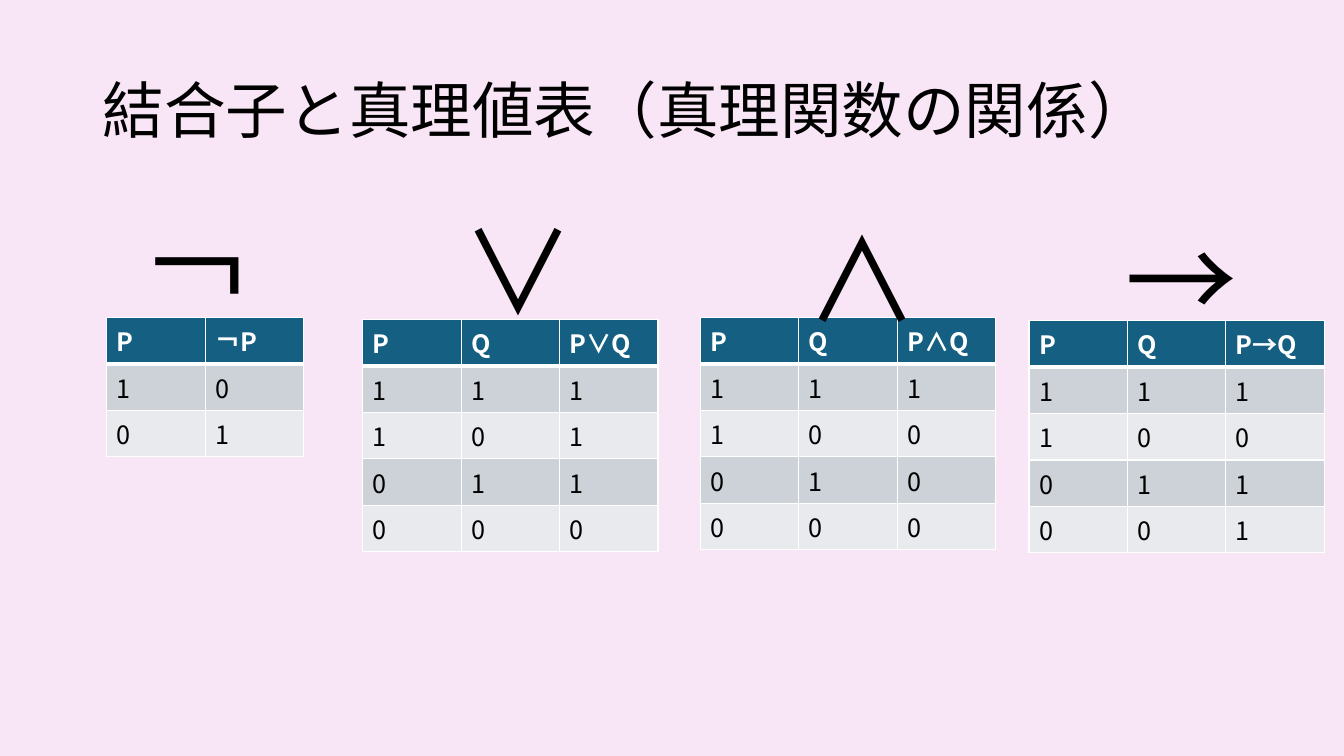
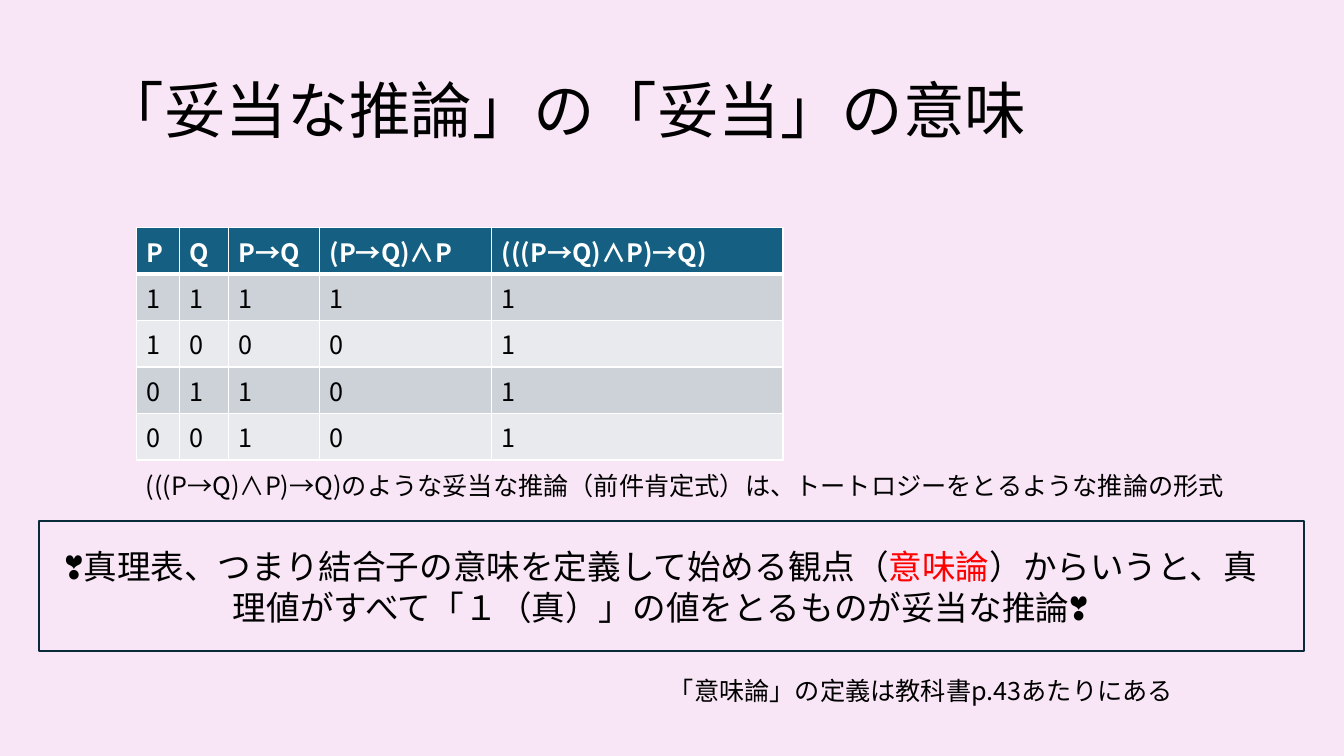
from lxml.etree import SubElement
from pptx import Presentation
from pptx.dml.color import RGBColor
from pptx.enum.shapes import MSO_SHAPE
from pptx.enum.text import MSO_ANCHOR, PP_ALIGN
from pptx.oxml.ns import qn
from pptx.util import Cm, Pt

# Shared style
FACE = "Noto Sans CJK JP"
BACK, INK, WHITE, RED = "F8E6F6", "000000", "FFFFFF", "FF0000"
HEAD, BANDS, FRAME = "156082", ("CCD2D8", "E8EAED"), "092A39"
ROW = 1.17
TITLE = (2.34, 1.02, 29.21, 3.68)

# Content of slide 1: left, top, header, rows
TITLE_1 = "結合子と真理値表（真理関数の関係）"
COL = 2.48
TABLES = [
    (2.69, 8, ["P", "￢P"], ["10", "01"]),
    (9.14, 8.05, ["P", "Q", "P∨Q"], ["111", "101", "011", "000"]),
    (17.65, 8, ["P", "Q", "P∧Q"], ["111", "100", "010", "000"]),
    (25.93, 8.08, ["P", "Q", "P→Q"], ["111", "100", "011", "001"]),
]
SIGNS = [
    ("￢", 3.35, 5.03),
    ("∨", 11.4, 4.95),
    ("∧", 20.07, 5.16),
    ("→", 28.12, 5.16),
]

# Content of slide 2
TITLE_2 = "「妥当な推論」の「妥当」の意味"
PROOF = ["P", "Q", "P→Q", "(P→Q)∧P", "(((P→Q)∧P)→Q)"]
PROOF_ROWS = ["11111", "10001", "01101", "00101"]
PROOF_COLS = [1.09, 1.24, 2.29, 4.34, 7.34]
FORM = "(((P→Q)∧P)→Q)のような妥当な推論（前件肯定式）は、トートロジーをとるような推論の形式"
POINT = [
    ("❣真理表、つまり結合子の意味を定義して始める観点（", INK),
    ("意味論", RED),
    ("）からいうと、真理値がすべて「１（真）」の値をとるものが妥当な推論❣", INK),
]
NOTE = "「意味論」の定義は教科書p.43あたりにある"


def rgb(code):
    return RGBColor.from_string(code)


def add_run(para, text, size, color=INK, bold=False):
    run = para.add_run()
    run.text = text
    style = {"name": FACE, "size": Pt(size), "bold": bold}
    for key, value in style.items():
        setattr(run.font, key, value)
    run.font.color.rgb = rgb(color)
    SubElement(run.font._element, qn("a:ea"), typeface=FACE)


def add_text(slide, box, runs, size, align=PP_ALIGN.LEFT):
    frame = slide.shapes.add_textbox(*map(Cm, box)).text_frame
    frame.word_wrap = True
    para = frame.paragraphs[0]
    para.alignment = align
    for text, color in runs:
        add_run(para, text, size, color)
    return frame


def add_edges(cell, top, bottom):
    props = cell._tc.get_or_add_tcPr()
    edges = {"L": 1, "R": 1, "T": top, "B": bottom}
    for place, (side, width) in enumerate(edges.items()):
        line = SubElement(props, qn(f"a:ln{side}"), w=str(Pt(width)))
        fill = SubElement(line, qn("a:solidFill"))
        SubElement(fill, qn("a:srgbClr"), val=WHITE)
        props.insert(place, line)


def add_grid(slide, left, top, head, rows, cols):
    lines = [head, *rows]
    size = (sum(cols), ROW * len(lines))
    table = slide.shapes.add_table(
        len(lines), len(cols), *map(Cm, (left, top, *size))).table
    table.horz_banding = False
    for col, width in zip(table.columns, cols):
        col.width = Cm(width)
    for r, line in enumerate(lines):
        table.rows[r].height = Cm(ROW)
        first = r == 0
        for c, text in enumerate(line):
            cell = table.cell(r, c)
            cell.fill.solid()
            cell.fill.fore_color.rgb = rgb(HEAD if first else BANDS[(r - 1) % 2])
            add_edges(cell, 3 if r == 1 else 1, 3 if first else 1)
            para = cell.text_frame.paragraphs[0]
            add_run(para, text, 18, WHITE if first else INK, first)


def add_slide(deck, title):
    slide = deck.slides.add_slide(deck.slide_layouts[6])
    fill = slide.background.fill
    fill.solid()
    fill.fore_color.rgb = rgb(BACK)
    frame = add_text(slide, TITLE, [(title, INK)], 44)
    frame.vertical_anchor = MSO_ANCHOR.MIDDLE
    frame.paragraphs[0].line_spacing = 0.9
    return slide


def main():
    deck = Presentation()
    deck.slide_width, deck.slide_height = Cm(33.87), Cm(19.05)

    # Connectives and their truth tables
    slide = add_slide(deck, TITLE_1)
    for left, top, head, rows in TABLES:
        add_grid(slide, left, top, head, rows, [COL] * len(head))
    for sign, left, top in SIGNS:
        add_text(slide, (left, top, 3.78, 3.68), [(sign, INK)], 80)

    # Meaning of valid inference
    slide = add_slide(deck, TITLE_2)
    add_grid(slide, 3.43, 5.74, PROOF, PROOF_ROWS, PROOF_COLS)
    add_text(slide, (0.99, 13.64, 31.32, 2.31), POINT, 24, PP_ALIGN.CENTER)
    add_text(slide, (3.43, 11.73, 28.12, 1.02), [(FORM, INK)], 18)
    add_text(slide, (16.61, 16.89, 14.15, 1.02), [(NOTE, INK)], 18)

    # Frame around the main point
    frame = slide.shapes.add_shape(
        MSO_SHAPE.RECTANGLE, *map(Cm, (0.99, 13.13, 31.88, 3.28)))
    frame.shadow.inherit = False
    frame.fill.background()
    frame.line.color.rgb = rgb(FRAME)
    frame.line.width = Pt(1.5)

    deck.save("out.pptx")


if __name__ == "__main__":
    main()
